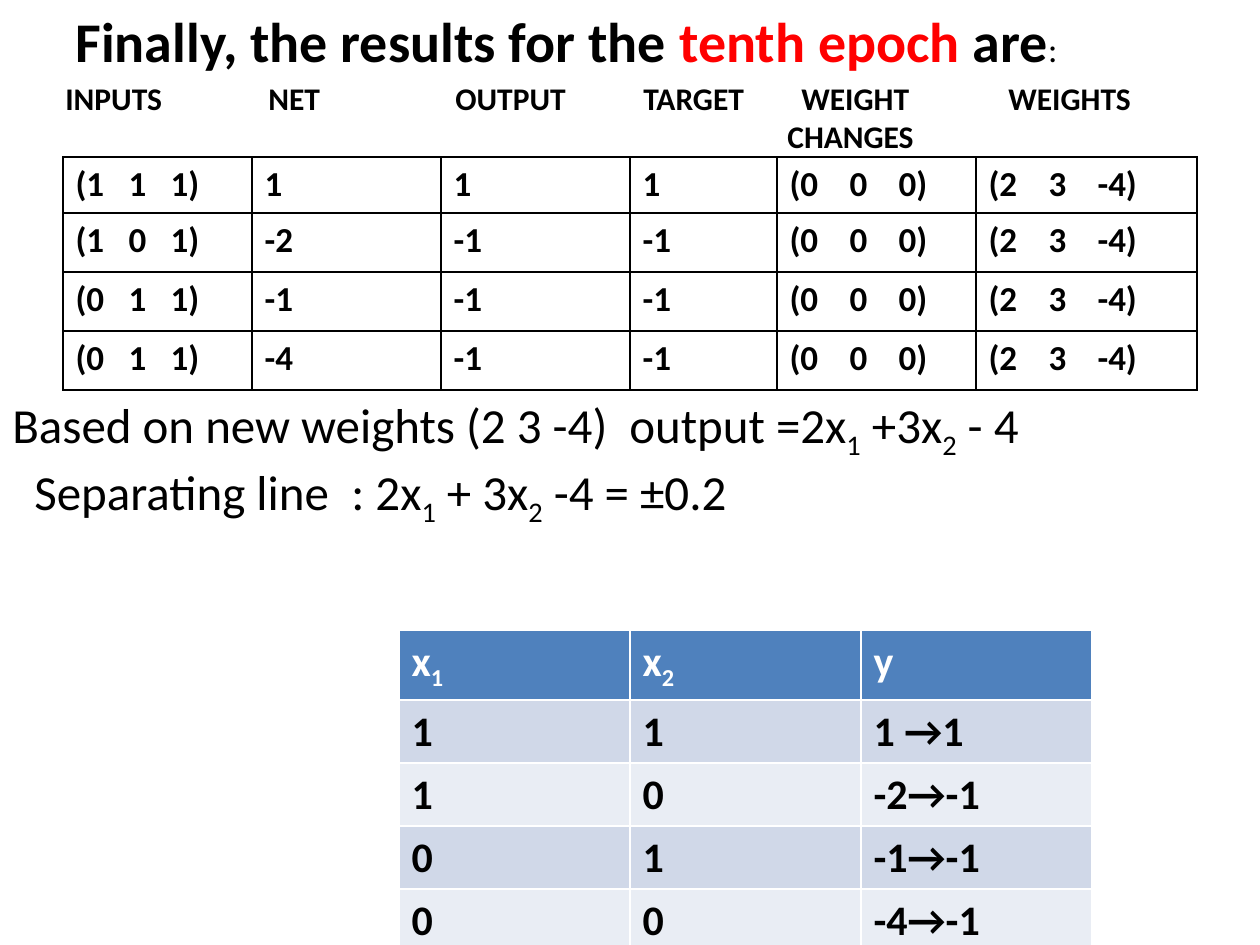
from pptx import Presentation
from pptx.dml.color import RGBColor
from pptx.enum.text import MSO_ANCHOR, MSO_AUTO_SIZE, PP_ALIGN
from pptx.oxml.ns import qn
from pptx.util import Emu, Pt
from lxml.etree import SubElement

BLACK = RGBColor(0x00, 0x00, 0x00)
WHITE = RGBColor(0xFF, 0xFF, 0xFF)
RED = RGBColor(0xFF, 0x00, 0x00)
BLUE = RGBColor(0x4F, 0x81, 0xBD)
BAND_DARK = RGBColor(0xD0, 0xD8, 0xE8)
BAND_LIGHT = RGBColor(0xE9, 0xED, 0xF4)
FONT = "Calibri"


def px(length):
    return Emu(round(length * 914400 / 126))


def write_text(paragraph, text, size=20, bold=False, color=BLACK, tabs=()):
    """Add text to a paragraph; an underscore lowers the next character."""
    first, *marked = text.split("_")
    pieces = [(first, False)]
    for part in marked:
        pieces += [(part[0], True), (part[1:], False)]
    for piece, lowered in pieces:
        if not piece:
            continue
        run = paragraph.add_run()
        run.text = piece
        run.font.name = FONT
        run.font.size = Pt(size)
        run.font.bold = bold
        run.font.color.rgb = color
        if lowered:
            run.font._element.set("baseline", "-25000")
    if tabs:
        tab_list = SubElement(paragraph._p.get_or_add_pPr(), qn("a:tabLst"))
        for position in tabs:
            SubElement(tab_list, qn("a:tab"), pos=str(px(position)), algn="l")


class SlideBuilder:
    def __init__(self, slide):
        self.slide = slide

    def title(self, left, top, width, height, parts):
        shape = self.slide.shapes.title
        shape.left, shape.top, shape.width, shape.height = map(px, (left, top, width, height))
        frame = shape.text_frame
        frame.word_wrap = False
        frame.auto_size = MSO_AUTO_SIZE.NONE
        frame.vertical_anchor = MSO_ANCHOR.TOP
        paragraph = frame.paragraphs[0]
        paragraph.alignment = PP_ALIGN.LEFT
        for text, style in parts:
            write_text(paragraph, text, **style)

    def text(self, left, top, width, height, lines, **style):
        shape = self.slide.shapes.add_textbox(*map(px, (left, top, width, height)))
        frame = shape.text_frame
        frame.word_wrap = True
        for index, (text, tabs) in enumerate(lines):
            paragraph = frame.add_paragraph() if index else frame.paragraphs[0]
            write_text(paragraph, text, tabs=tabs, **style)

    def border(self, cell, color):
        properties = cell._tc.get_or_add_tcPr()
        for side in ("lnL", "lnR", "lnT", "lnB"):
            line = SubElement(properties, qn(f"a:{side}"), w=str(Pt(1)))
            fill = SubElement(line, qn("a:solidFill"))
            SubElement(fill, qn("a:srgbClr"), val=str(color))

    def table(self, left, top, widths, heights, rows, fills, border, size,
              header_color=BLACK, tabs=None):
        frame = self.slide.shapes.add_table(
            len(rows), len(widths), *map(px, (left, top, sum(widths), sum(heights))))
        table = frame.table
        table.first_row = table.horz_banding = False
        for column, width in zip(table.columns, widths):
            column.width = px(width)
        for row_index, (row, values) in enumerate(zip(table.rows, rows)):
            row.height = px(heights[row_index])
            for column_index, (cell, value) in enumerate(zip(row.cells, values)):
                self.border(cell, border)
                cell.fill.solid()
                cell.fill.fore_color.rgb = fills[row_index]
                write_text(cell.text_frame.paragraphs[0], value, size=size, bold=True,
                           color=BLACK if row_index else header_color,
                           tabs=(tabs or {}).get(column_index, ()))


def main():
    presentation = Presentation()
    presentation.slide_width, presentation.slide_height = px(1260), px(945)
    builder = SlideBuilder(presentation.slides.add_slide(presentation.slide_layouts[5]))

    heading = {"size": 32, "bold": True}
    builder.title(63, 0, 1016, 81, [
        ("Finally, the results for the ", heading),
        ("tenth epoch ", {**heading, "color": RED}),
        ("are", heading),
        (":", {"size": 20}),
    ])

    builder.text(53, 73, 1144, 89, [
        ("INPUTS\tNET\tOUTPUT\tTARGET\tWEIGHT\tWEIGHTS", (203, 390, 578, 736, 943)),
        ("\tCHANGES", (722,)),
    ], size=18, bold=True)

    samples = [("(1\t1\t1)", "1", "1"), ("(1\t0\t1)", "-2", "-1"),
               ("(0\t1\t1)", "-1", "-1"), ("(0\t1\t1)", "-4", "-1")]
    epoch_rows = [(inputs, net, output, output, "(0\t0\t0)", "(2\t3\t-4)")
                  for inputs, net, output in samples]
    builder.table(63, 157, [189, 189, 189, 147, 199, 221], [56, 59, 59, 59], epoch_rows,
                  [WHITE] * 4, BLACK, 20,
                  tabs={0: (53, 95), 4: (60, 109), 5: (60, 109)})

    builder.text(0, 388, 1197, 131, [
        ("Based on new weights (2 3 -4)\toutput =2x_1 +3x_2 - 4", (617,)),
        ("\tSeparating line\t: 2x_1 + 3x_2 -4 = ±0.2", (22, 339)),
    ], size=28)

    builder.table(399, 630, [231] * 3, [69] + [63] * 4, [
        ("x_1", "x_2", "y"),
        ("1", "1", "1 →1"),
        ("1", "0", "-2→-1"),
        ("0", "1", "-1→-1"),
        ("0", "0", "-4→-1"),
    ], [BLUE] + [BAND_DARK, BAND_LIGHT] * 2, WHITE, 24, header_color=WHITE)

    presentation.save("out.pptx")


if __name__ == "__main__":
    main()
